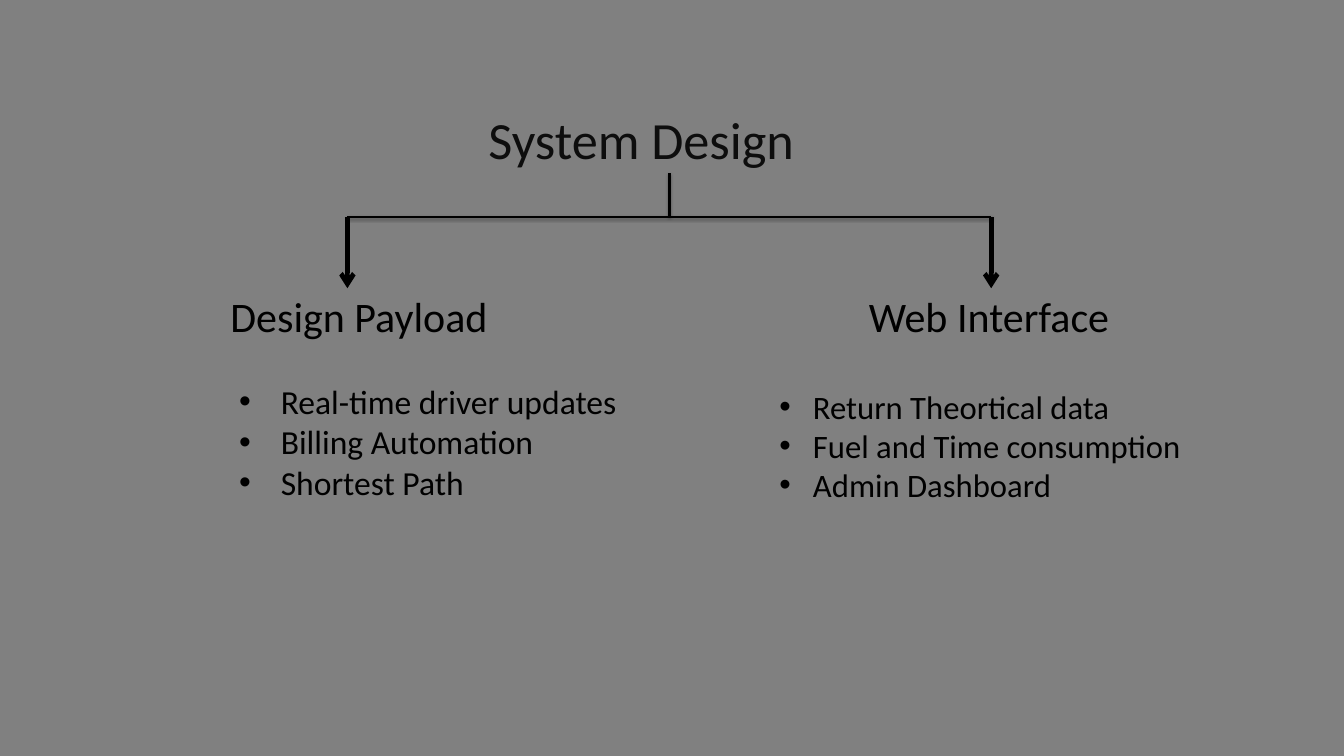
from dataclasses import dataclass

from lxml.etree import SubElement
from pptx import Presentation
from pptx.dml.color import RGBColor
from pptx.enum.shapes import MSO_CONNECTOR as Connector
from pptx.enum.text import MSO_AUTO_SIZE as AutoSize
from pptx.oxml.ns import qn
from pptx.util import Inches, Pt


@dataclass(frozen=True)
class Theme:
    font: str = "Calibri"
    background: RGBColor = RGBColor(0x80, 0x80, 0x80)
    ink: RGBColor = RGBColor(0, 0, 0)
    title_ink: RGBColor = RGBColor(0x0D, 0x0D, 0x0D)
    title_size: int = 56
    heading_size: int = 45
    bar_width: int = 3
    arrow_width: int = 5


theme = Theme()
presentation = Presentation()
presentation.slide_width = Inches(20)
presentation.slide_height = Inches(11.25)
slide = presentation.slides.add_slide(presentation.slide_layouts[6])
slide.background.fill.solid()
slide.background.fill.fore_color.rgb = theme.background

# One column or row is a hundredth of the slide.
COLUMN = presentation.slide_width / 100
ROW = presentation.slide_height / 100


def add_text(lines, left, top, width, height, size, color=theme.ink, indent=None):
    """Add one paragraph per line; an indent in inches makes them bullets."""
    box = slide.shapes.add_textbox(
        int(left * COLUMN), int(top * ROW), int(width * COLUMN), int(height * ROW))
    frame = box.text_frame
    frame.word_wrap = True
    frame.auto_size = AutoSize.SHAPE_TO_FIT_TEXT
    for index, line in enumerate(lines):
        paragraph = frame.add_paragraph() if index else frame.paragraphs[0]
        if indent:
            properties = paragraph._p.get_or_add_pPr()
            properties.set("marL", str(Inches(indent)))
            properties.set("indent", str(-Inches(indent)))
            SubElement(properties, qn("a:buFont"), typeface="Arial")
            SubElement(properties, qn("a:buChar"), char="•")
        run = paragraph.add_run()
        run.text = line
        run.font.name = theme.font
        run.font.size = Pt(size)
        run.font.color.rgb = color


def add_line(start, end, width, arrow=False):
    """Add a softly shadowed line, or a flat one that ends in an arrowhead."""
    line = slide.shapes.add_connector(
        Connector.STRAIGHT, int(start[0] * COLUMN), int(start[1] * ROW),
        int(end[0] * COLUMN), int(end[1] * ROW))
    line.line.width = Pt(width)
    line.line.color.rgb = theme.ink
    effects = SubElement(line._element.spPr, qn("a:effectLst"))
    if arrow:
        SubElement(line.line._get_or_add_ln(), qn("a:tailEnd"), type="arrow")
    else:
        shadow = SubElement(effects, qn("a:outerShdw"), blurRad=str(Pt(3.1)),
                            dist=str(Pt(1.8)), dir="5400000", rotWithShape="0")
        shade = SubElement(shadow, qn("a:srgbClr"), val=str(theme.ink))
        SubElement(shade, qn("a:alpha"), val="35000")


# Title and the branching lines below it
add_text(["System Design"], 35.85, 13.69, 27.9, 9.24, theme.title_size, theme.title_ink)

branch_columns = (25.85, 73.75)
trunk_column = sum(branch_columns) / 2
trunk_top, bar_row, arrow_tip = 22.93, 28.71, 38.13
add_line((trunk_column, trunk_top), (trunk_column, bar_row), theme.bar_width)
add_line((branch_columns[0], bar_row), (branch_columns[1], bar_row), theme.bar_width)
for column in branch_columns:
    add_line((column, bar_row), (column, arrow_tip), theme.arrow_width, arrow=True)

# Each branch: heading, its left edge, bullets, their box, type size and indent
branches = [
    ("Design Payload", 16.65,
     ["Real-time driver updates", "Billing Automation", "Shortest Path"],
     (17.3, 49.96, 32.5, 22.31), 36, 0.62),
    ("Web Interface", 64.15,
     ["Return Theortical data", "Fuel and Time consumption", "Admin Dashboard"],
     (57.5, 50.67, 37.5, 16.62), 35, 0.5),
]
for heading, heading_left, bullets, bullet_box, bullet_size, indent in branches:
    add_text([heading], heading_left, 37.96, 22.5, 7.64, theme.heading_size)
    add_text(bullets, *bullet_box, bullet_size, indent=indent)

presentation.save("out.pptx")
